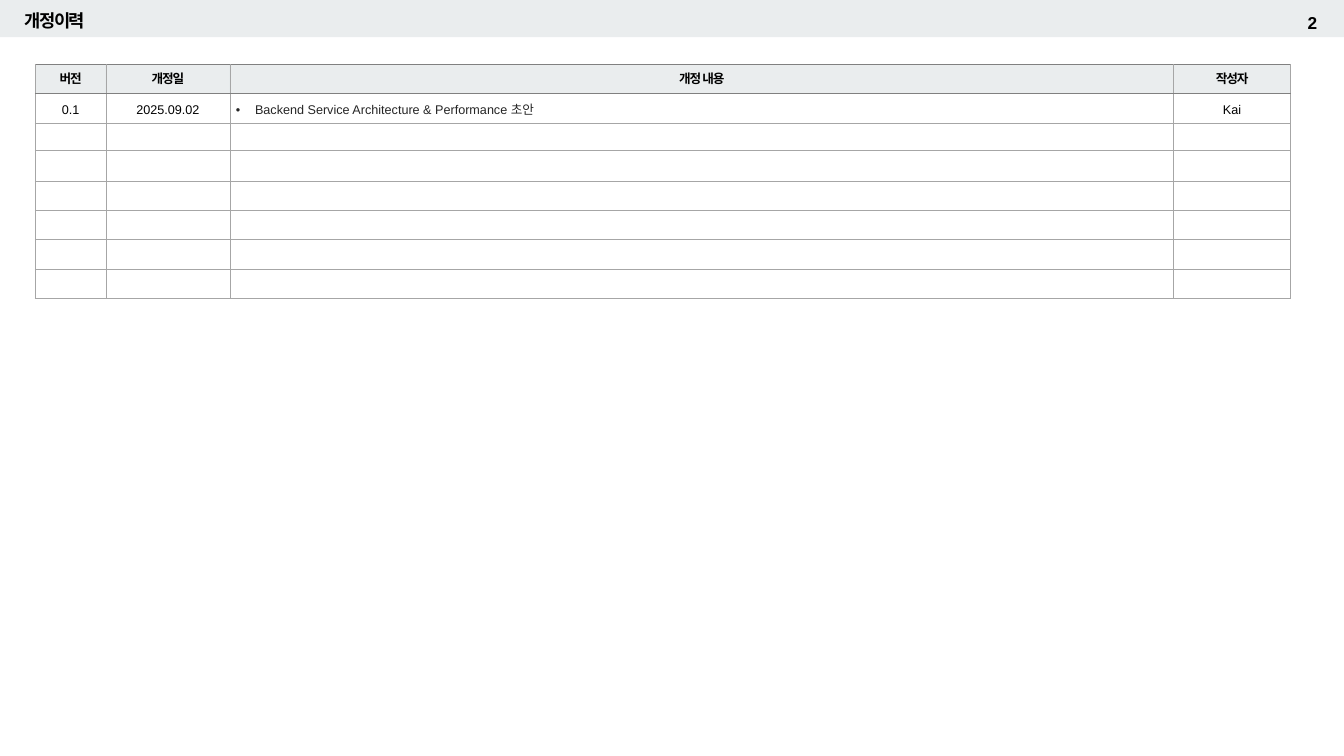
from dataclasses import dataclass

from lxml import etree
from pptx import Presentation
from pptx.dml.color import RGBColor
from pptx.enum.shapes import MSO_SHAPE
from pptx.enum.text import MSO_ANCHOR, MSO_AUTO_SIZE, PP_ALIGN
from pptx.oxml.ns import qn
from pptx.util import Inches, Pt

RECTANGLE = MSO_SHAPE.RECTANGLE
MIDDLE = MSO_ANCHOR.MIDDLE
NO_AUTOFIT = MSO_AUTO_SIZE.NONE
LEFT, CENTER = PP_ALIGN.LEFT, PP_ALIGN.CENTER


@dataclass(frozen=True)
class Style:
    size: float
    color: str
    bold: bool = False
    spacing: float = 0


@dataclass(frozen=True)
class Border:
    color: str
    width: float


@dataclass(frozen=True)
class Theme:
    font: str = "Arial"
    tint: str = "384F5F"
    tint_opacity: int = 10
    title: Style = Style(12.6, "000000", True, -1)
    page_number: Style = Style(12.3, "000000", True, -0.9)
    heading: Style = Style(9, "000000", True, -0.8)
    entry: Style = Style(9, "000000")
    description: Style = Style(9, "262626")
    grid: Border = Border("A6A6A6", 0.5)
    heading_rule: Border = Border("808080", 0.75)


@dataclass(frozen=True)
class Column:
    heading: str
    width: float
    bulleted: bool = False


THEME = Theme()
COLUMNS = [
    Column("버전", 0.7),
    Column("개정일", 1.23),
    Column("개정 내용", 9.36, bulleted=True),
    Column("작성자", 1.16),
]
REVISIONS = [
    ("0.1", "2025.09.02", "Backend Service Architecture & Performance 초안", "Kai"),
]
ROW_HEIGHTS = [0.29, 0.29, 0.27, 0.31, 0.29, 0.29, 0.29, 0.29]


def tint(fill) -> None:
    """Apply the translucent header colour to a shape or cell fill."""
    fill.solid()
    fill.fore_color.rgb = RGBColor.from_string(THEME.tint)
    color = fill._xPr.find(qn("a:solidFill"))[0]
    etree.SubElement(color, qn("a:alpha"), val=str(THEME.tint_opacity * 1000))


def clear_margins(frame) -> None:
    frame.margin_left = frame.margin_right = 0
    frame.margin_top = frame.margin_bottom = 0


def add_span(para, text: str, style: Style) -> None:
    span = para.add_run()
    span.text = text
    span.font.name = THEME.font
    span.font.size = Pt(style.size)
    span.font.bold = style.bold
    span.font.color.rgb = RGBColor.from_string(style.color)
    properties = span._r.get_or_add_rPr()
    properties.set("spc", str(round(style.spacing * 100)))
    latin = properties.find(qn("a:latin"))
    east_asian = etree.Element(qn("a:ea"), typeface=THEME.font)
    latin.addnext(east_asian)


def add_bullet(para) -> None:
    properties = para._p.get_or_add_pPr()
    indent = Inches(0.19)
    properties.set("marL", str(indent))
    properties.set("indent", str(-indent))
    etree.SubElement(properties, qn("a:buFont"), typeface=THEME.font)
    etree.SubElement(properties, qn("a:buChar"), char="•")


def set_borders(cell, row: int) -> None:
    top = THEME.heading_rule if row <= 1 else THEME.grid
    bottom = THEME.heading_rule if row == 0 else THEME.grid
    sides = {"lnL": THEME.grid, "lnR": THEME.grid, "lnT": top, "lnB": bottom}
    properties = cell._tc.get_or_add_tcPr()
    for side, border in sides.items():
        line = etree.SubElement(properties, qn(f"a:{side}"), w=str(Pt(border.width)))
        fill = etree.SubElement(line, qn("a:solidFill"))
        etree.SubElement(fill, qn("a:srgbClr"), val=border.color)


def fill_cell(cell, row: int, column: Column, text: str) -> None:
    cell.margin_left = cell.margin_right = Inches(0.06)
    cell.margin_top = cell.margin_bottom = Inches(0.05)
    cell.vertical_anchor = MIDDLE
    set_borders(cell, row)
    para = cell.text_frame.paragraphs[0]
    if row == 0:
        tint(cell.fill)
        para.alignment = CENTER
        add_span(para, text, THEME.heading)
        return
    cell.fill.background()
    if not text:
        # Keeps the blank row from growing to the default text size
        etree.SubElement(para._p, qn("a:endParaRPr"), sz=str(THEME.entry.size * 100))
        return
    para.line_spacing = 1.2
    para.alignment = LEFT if column.bulleted else CENTER
    if column.bulleted:
        add_bullet(para)
    add_span(para, text, THEME.description if column.bulleted else THEME.entry)


def add_header(slide, width: int) -> None:
    # Band behind the title
    band = slide.shapes.add_shape(RECTANGLE, 0, 0, width, Inches(0.37))
    band.shadow.inherit = False
    band.line.fill.background()
    tint(band.fill)
    title = slide.shapes.title
    title._element.addprevious(band._element)

    # Title
    title.left, title.top = Inches(0.24), Inches(0.13)
    title.width, title.height = Inches(11.97), Inches(0.17)
    frame = title.text_frame
    clear_margins(frame)
    frame.auto_size = NO_AUTOFIT
    frame.vertical_anchor = MIDDLE
    para = frame.paragraphs[0]
    para.alignment = LEFT
    para.line_spacing = 0.9
    add_span(para, "개정이력", THEME.title)

    # Page number
    box = slide.shapes.add_textbox(
        Inches(12.97), Inches(0.12), Inches(0.19), Inches(0.21))
    box.text_frame.word_wrap = False
    clear_margins(box.text_frame)
    add_span(box.text_frame.paragraphs[0], "2", THEME.page_number)


def add_history(slide) -> None:
    frame = slide.shapes.add_table(
        len(ROW_HEIGHTS), len(COLUMNS), Inches(0.35), Inches(0.64),
        Inches(sum(column.width for column in COLUMNS)), Inches(sum(ROW_HEIGHTS)))
    table = frame.table
    table.first_row = table.horz_banding = False
    for index, column in enumerate(COLUMNS):
        table.columns[index].width = Inches(column.width)
    lines = [tuple(column.heading for column in COLUMNS), *REVISIONS]
    blank = ("",) * len(COLUMNS)
    for row, height in enumerate(ROW_HEIGHTS):
        table.rows[row].height = Inches(height)
        texts = lines[row] if row < len(lines) else blank
        for index, (column, text) in enumerate(zip(COLUMNS, texts)):
            fill_cell(table.cell(row, index), row, column, text)


def main() -> None:
    deck = Presentation()
    deck.slide_width, deck.slide_height = Inches(13.33), Inches(7.5)
    page = deck.slides.add_slide(deck.slide_layouts[5])
    add_header(page, deck.slide_width)
    add_history(page)
    deck.save("out.pptx")


if __name__ == "__main__":
    main()
